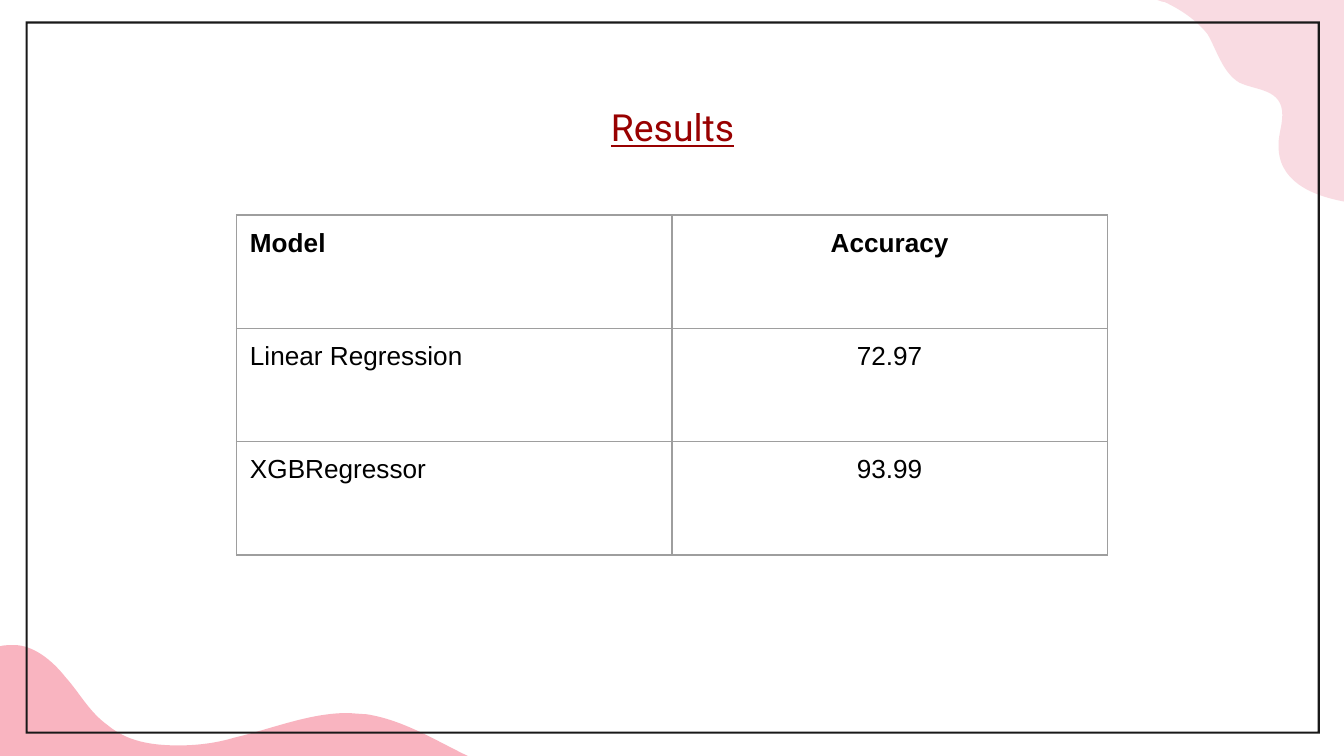
import pptx
import pptx.dml.color
import pptx.enum.shapes
import pptx.enum.text
import pptx.oxml
import pptx.oxml.ns
import pptx.util

WIDTH = pptx.util.Inches(10)
HEIGHT = WIDTH * 9 // 16
INSET = pptx.util.Inches(0.1)
CENTER = pptx.enum.text.PP_ALIGN.CENTER
LEFT = pptx.enum.text.PP_ALIGN.LEFT

RESULTS = [
    ("Model", "Accuracy"),
    ("Linear Regression", "72.97"),
    ("XGBRegressor", "93.99"),
]

# Bezier knots and handles as shares of each corner's box: start, then three per curve
TOP_RIGHT_WAVE = [
    (1, 1),
    (0.83, 0.97), (0.64, 0.9), (0.65, 0.71),
    (0.65, 0.67), (0.67, 0.62), (0.67, 0.57),
    (0.67, 0.44), (0.53, 0.45), (0.44, 0.41),
    (0.35, 0.36), (0.32, 0.25), (0.27, 0.17),
    (0.21, 0.1), (0.13, 0.05), (0.04, 0.01),
    (0.02, 0.01), (0.01, 0), (0, 0),
]
BOTTOM_LEFT_WAVE = [
    (0, 0.01),
    (0.01, 0), (0.02, 0), (0.03, 0),
    (0.07, 0), (0.11, 0.13), (0.14, 0.29),
    (0.17, 0.43), (0.19, 0.6), (0.23, 0.72),
    (0.27, 0.86), (0.32, 0.9), (0.38, 0.9),
    (0.42, 0.9), (0.46, 0.88), (0.5, 0.83),
    (0.58, 0.75), (0.66, 0.61), (0.74, 0.61),
    (0.75, 0.61), (0.77, 0.62), (0.78, 0.62),
    (0.86, 0.67), (0.93, 0.86), (1, 1),
]


def color(hex_string):
    return pptx.dml.color.RGBColor.from_string(hex_string)


def region(left, top, width, height):
    """Turn inches into a box of slide lengths."""
    return tuple(pptx.util.Inches(length) for length in (left, top, width, height))


def bend_lines(wave, curve_points):
    """Join each three line segments into one cubic curve."""
    lines = list(wave._element.iter(pptx.oxml.ns.qn("a:lnTo")))[:curve_points]
    for first in range(0, curve_points, 3):
        curve = pptx.oxml.parse_xml(f'<a:cubicBezTo {pptx.oxml.ns.nsdecls("a")}/>')
        lines[first].addprevious(curve)
        for line in lines[first:first + 3]:
            curve.append(line[0])
            line.getparent().remove(line)


def add_wave(page, box, knots, corner, fill, opacity):
    left, top, width, height = box
    points = [(left + x * width, top + y * height) for x, y in knots + [corner]]
    builder = page.shapes.build_freeform(*points[0])
    builder.add_line_segments(points[1:], close=True)
    wave = builder.convert_to_shape()
    bend_lines(wave, len(knots) - 1)
    wave.shadow.inherit = False
    wave.line.fill.background()
    wave.fill.solid()
    wave.fill.fore_color.rgb = color(fill)
    tint = wave._element.spPr.find(
        pptx.oxml.ns.qn("a:solidFill") + "/" + pptx.oxml.ns.qn("a:srgbClr"))
    tint.append(pptx.oxml.parse_xml(
        f'<a:alpha {pptx.oxml.ns.nsdecls("a")} val="{opacity * 1000}"/>'))


def add_frame(page, box):
    frame = page.shapes.add_shape(pptx.enum.shapes.MSO_SHAPE.FRAME, *box)
    frame.adjustments[0] = 0.003
    frame.shadow.inherit = False
    frame.line.fill.background()
    frame.fill.solid()
    frame.fill.fore_color.rgb = color("191919")


def write(para, text, font, size, ink, align, bold=False, underline=False):
    para.alignment = align
    span = para.add_run()
    span.text = text
    span.font.name = font
    span.font.size = pptx.util.Pt(size)
    span.font.color.rgb = color(ink)
    span.font.bold = bold
    span.font.underline = underline


def add_title(page, box):
    text = page.shapes.add_textbox(*box).text_frame
    text.word_wrap = True
    text.vertical_anchor = pptx.enum.text.MSO_ANCHOR.MIDDLE
    text.margin_left = text.margin_right = text.margin_top = text.margin_bottom = INSET
    write(text.paragraphs[0], "Results", "Roboto", 20, "980000", CENTER, underline=True)


def add_borders(cell):
    properties = cell._tc.get_or_add_tcPr()
    for side in ("lnL", "lnR", "lnT", "lnB"):
        properties.append(pptx.oxml.parse_xml(
            f'<a:{side} {pptx.oxml.ns.nsdecls("a")} w="{pptx.util.Pt(0.75)}">'
            f'<a:solidFill><a:srgbClr val="9E9E9E"/></a:solidFill></a:{side}>'))


def add_results(page, box):
    table = page.shapes.add_table(len(RESULTS), len(RESULTS[0]), *box).table
    table.first_row = table.horz_banding = False
    for row, values in enumerate(RESULTS):
        for column, value in enumerate(values):
            cell = table.cell(row, column)
            cell.margin_left = cell.margin_right = INSET
            cell.margin_top = cell.margin_bottom = INSET
            add_borders(cell)
            cell.fill.background()
            write(cell.text_frame.paragraphs[0], value, "Arial", 14, "000000",
                  CENTER if column else LEFT, bold=row == 0)


def main():
    deck = pptx.Presentation()
    deck.slide_width, deck.slide_height = WIDTH, HEIGHT
    page = deck.slides.add_slide(deck.slide_layouts[6])

    # Corner waves and border
    add_wave(page, region(8.61, 0, 1.39, 1.5), TOP_RIGHT_WAVE, (1, 0), "F0A7B7", 40)
    add_wave(page, region(0, 4.8, 3.49, 0.83), BOTTOM_LEFT_WAVE, (0, 1), "EF3455", 37)
    add_frame(page, region(0.19, 0.16, 9.63, 5.3))

    # Heading and table
    add_title(page, region(0.79, 0.63, 8.43, 0.63))
    add_results(page, region(1.76, 1.6, 6.48, 2.53))

    deck.save("out.pptx")


if __name__ == "__main__":
    main()
